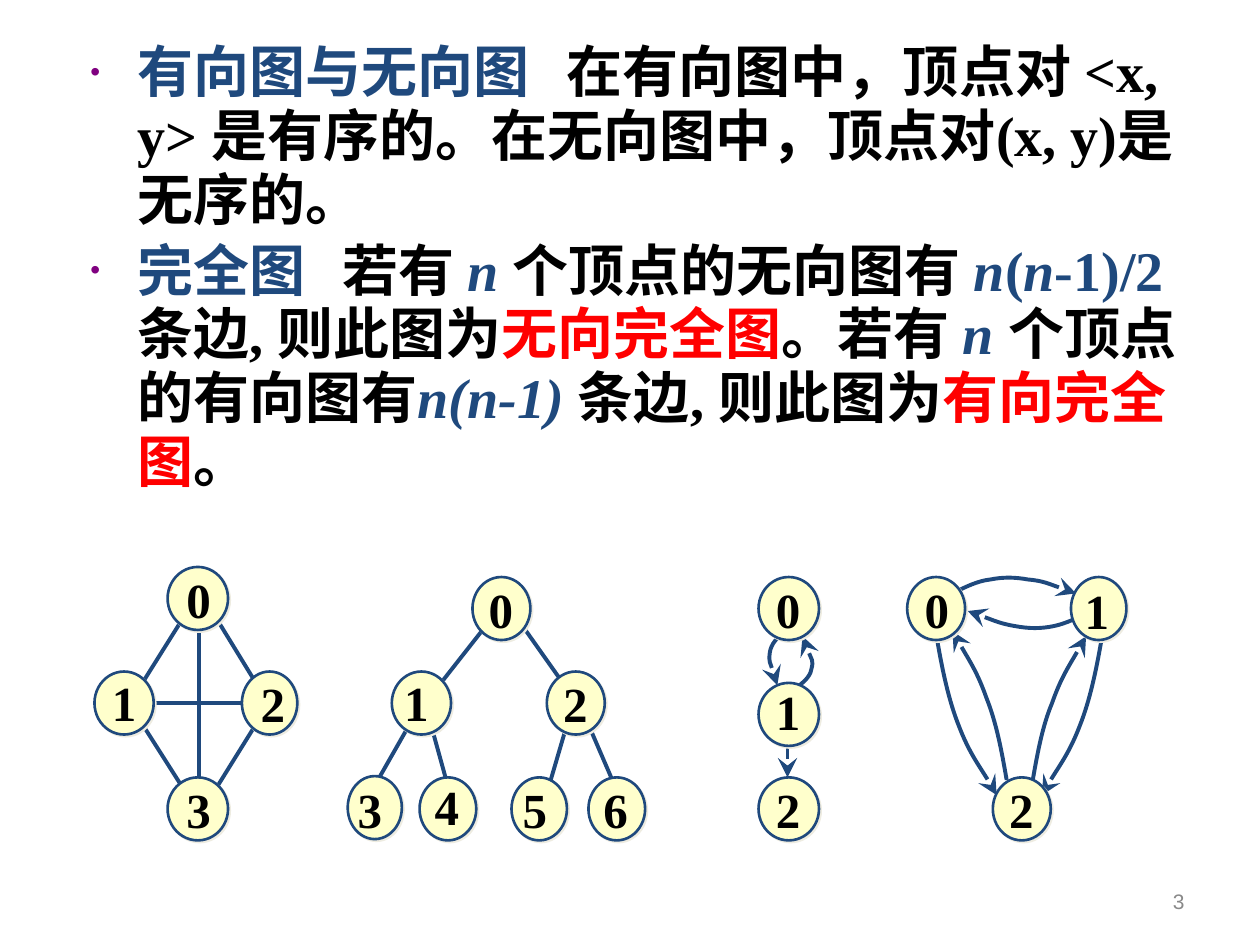
import pptx
import pptx.dml.color
import pptx.enum.shapes
import pptx.enum.text
import pptx.oxml.ns
import pptx.util
from lxml import etree
from pptx.util import Inches

RGBColor = pptx.dml.color.RGBColor
NAVY = RGBColor(0x1F, 0x49, 0x7D)
BLACK = RGBColor(0x00, 0x00, 0x00)
RED = RGBColor(0xFF, 0x00, 0x00)
GRAY = RGBColor(0x89, 0x89, 0x89)
CREAM = RGBColor(0xFF, 0xFF, 0xCC)
SHADOW = RGBColor(0xEE, 0xEC, 0xE1)
PURPLE = RGBColor(0x80, 0x00, 0x80)
qn = pptx.oxml.ns.qn


def add_run(paragraph, text, size=32, color=BLACK, font="Times New Roman",
            bold=True, italic=False, spacing=0):
    run = paragraph.add_run()
    run.text = text
    run.font.size = pptx.util.Pt(size)
    run.font.name = font
    run.font.bold = bold
    run.font.italic = italic
    run.font.color.rgb = color
    if spacing:
        run.font._element.set("spc", str(spacing * 100))


def style_stroke(shape, width=2.25, arrow=False):
    """Format the outline and return the shape's new, empty effect list."""
    shape.line.color.rgb = NAVY
    shape.line.width = pptx.util.Pt(width)
    properties = shape._element.spPr
    if arrow:
        etree.SubElement(properties.find(qn("a:ln")), qn("a:tailEnd"),
                         type="stealth", w="lg", len="lg")
    return etree.SubElement(properties, qn("a:effectLst"))


presentation = pptx.Presentation()
presentation.slide_width = Inches(10)
presentation.slide_height = Inches(7.5)
slide = presentation.slides.add_slide(presentation.slide_layouts[6])

# Definitions
GAP = (" ", {"spacing": 14})
TERM = {"color": NAVY}
VARIABLE = {"color": NAVY, "italic": True}
KEY = {"color": RED}
definitions = [
    [("有向图与无向图", TERM), GAP,
     ("在有向图中，顶点对 <x, y> 是有序的。在无向图中，顶点对(x, y)是无序的。", {})],
    [("完全图", TERM), GAP, ("若有 ", {}), ("n ", VARIABLE),
     ("个顶点的无向图有 ", {}), ("n", VARIABLE), ("(", TERM), ("n", VARIABLE),
     ("-1)/2 ", TERM), ("条边, 则此图为", {}), ("无向完全图", KEY),
     ("。若有 ", {}), ("n ", VARIABLE), ("个顶点的有向图有", {}),
     ("n(n-1) ", VARIABLE), ("条边, 则此图为", {}), ("有向完全图", KEY), ("。", {})],
]
box = slide.shapes.add_textbox(Inches(0.62), Inches(0.28), Inches(8.83), Inches(3.84))
box.text_frame.word_wrap = True
for index, runs in enumerate(definitions):
    paragraph = box.text_frame.paragraphs[0] if index == 0 else box.text_frame.add_paragraph()
    properties = paragraph._p.get_or_add_pPr()
    properties.set("marL", str(Inches(0.37)))
    properties.set("indent", str(-Inches(0.37)))
    bullet_color = etree.SubElement(properties, qn("a:buClr"))
    etree.SubElement(bullet_color, qn("a:srgbClr"), val=str(PURPLE))
    etree.SubElement(properties, qn("a:buSzPct"), val="50000")
    etree.SubElement(properties, qn("a:buFont"), typeface="Arial")
    etree.SubElement(properties, qn("a:buChar"), char="•")
    paragraph.line_spacing = 0.95
    if index:
        paragraph.space_before = pptx.util.Pt(4)
    for text, style in runs:
        add_run(paragraph, text, **style)

# Slide number
box = slide.shapes.add_textbox(Inches(7.17), Inches(6.95), Inches(2.33), Inches(0.4))
box.text_frame.word_wrap = True
box.text_frame.vertical_anchor = pptx.enum.text.MSO_ANCHOR.MIDDLE
paragraph = box.text_frame.paragraphs[0]
paragraph.alignment = pptx.enum.text.PP_ALIGN.RIGHT
add_run(paragraph, "3", size=12, color=GRAY, font="Arial", bold=False)

# Curved arcs: a start point, then three points for each cubic segment
arcs = [
    [(6.23, 5.01), (6.17, 5.06), (6.12, 5.11), (6.11, 5.18),
     (6.1, 5.26), (6.16, 5.4), (6.17, 5.44)],
    [(6.29, 5.48), (6.36, 5.43), (6.43, 5.38), (6.44, 5.31),
     (6.46, 5.24), (6.38, 5.09), (6.37, 5.05)],
    [(8.66, 4.85), (8.56, 4.9), (8.46, 4.95), (8.36, 4.97), (8.26, 4.99),
     (8.17, 4.99), (8.06, 4.97), (7.94, 4.95), (7.74, 4.87), (7.68, 4.85)],
    [(7.56, 4.71), (7.66, 4.66), (7.76, 4.61), (7.86, 4.6), (7.96, 4.58),
     (8.05, 4.58), (8.16, 4.6), (8.28, 4.61), (8.48, 4.69), (8.54, 4.71)],
    [(8.74, 5.09), (8.7, 5.32), (8.65, 5.56), (8.57, 5.76),
     (8.49, 5.97), (8.32, 6.21), (8.27, 6.31)],
    [(8.19, 6.23), (8.23, 6), (8.27, 5.77), (8.35, 5.58),
     (8.42, 5.38), (8.57, 5.14), (8.62, 5.05)],
    [(7.44, 5.09), (7.48, 5.32), (7.53, 5.56), (7.61, 5.76),
     (7.69, 5.97), (7.86, 6.21), (7.91, 6.31)],
    [(7.99, 6.19), (7.95, 5.96), (7.91, 5.74), (7.83, 5.54),
     (7.76, 5.34), (7.61, 5.1), (7.56, 5.01)],
]
for points in arcs:
    start, *vertices = [(Inches(x), Inches(y)) for x, y in points]
    builder = slide.shapes.build_freeform(*start)
    builder.add_line_segments(vertices, close=False)
    arc = builder.convert_to_shape()
    arc.fill.background()
    style_stroke(arc, arrow=True)
    # Turn every three line segments into one cubic curve
    outline = next(arc._element.iter(qn("a:path")))
    lines = outline.findall(qn("a:lnTo"))
    for first in range(0, len(lines), 3):
        curve = etree.SubElement(outline, qn("a:cubicBezTo"))
        for line in lines[first:first + 3]:
            curve.append(line[0])
            outline.remove(line)

# Straight edges: start, end, arrow
edges = [
    (4.17, 5, 4.58, 5.58, False), (4.5, 5.75, 4.33, 6.33, False),
    (4.67, 5.75, 4.92, 6.33, False), (3.83, 5, 3.5, 5.42, False),
    (3.42, 5.75, 3.58, 6.33, False), (3.25, 5.75, 2.92, 6.33, False),
    (1.08, 5.67, 1.5, 6.33, False), (1.67, 4.83, 2.08, 5.5, False),
    (2.08, 5.67, 1.67, 6.33, False), (1.5, 4.83, 1.08, 5.5, False),
    (1.17, 5.58, 2.08, 5.58, False), (1.58, 4.92, 1.58, 6.42, False),
    (6.25, 5.92, 6.25, 6.17, True),
]
for *ends, arrow in edges:
    edge = slide.shapes.add_connector(
        pptx.enum.shapes.MSO_CONNECTOR.STRAIGHT, *map(Inches, ends))
    style_stroke(edge, arrow=arrow)

# Vertices: digit, left, top, width, label left, label top
nodes = [
    ("0", 1.33, 4.5, 0.48, 1.38, 4.47), ("1", 0.75, 5.33, 0.47, 0.79, 5.29),
    ("2", 1.92, 5.33, 0.44, 1.97, 5.3), ("3", 1.33, 6.17, 0.48, 1.38, 6.14),
    ("0", 3.75, 4.58, 0.46, 3.78, 4.55), ("1", 3.11, 5.33, 0.47, 3.11, 5.29),
    ("2", 4.34, 5.33, 0.46, 4.37, 5.3), ("3", 2.76, 6.16, 0.43, 2.74, 6.14),
    ("4", 3.33, 6.17, 0.45, 3.35, 6.11), ("5", 4.06, 6.17, 0.44, 4.05, 6.14),
    ("6", 4.67, 6.17, 0.45, 4.69, 6.14),
    ("0", 6.02, 4.58, 0.48, 6.06, 4.55), ("1", 6.02, 5.42, 0.48, 6.06, 5.36),
    ("2", 6.02, 6.17, 0.48, 6.06, 6.14),
    ("0", 7.2, 4.58, 0.46, 7.24, 4.55), ("1", 8.5, 4.58, 0.44, 8.51, 4.56),
    ("2", 7.88, 6.17, 0.46, 7.91, 6.14),
]
for digit, left, top, width, label_left, label_top in nodes:
    node = slide.shapes.add_shape(
        pptx.enum.shapes.MSO_SHAPE.OVAL, Inches(left), Inches(top), Inches(width), Inches(0.5))
    node.fill.solid()
    node.fill.fore_color.rgb = CREAM
    effects = style_stroke(node, width=1.5)
    shadow = etree.SubElement(effects, qn("a:outerShdw"), dist=str(pptx.util.Pt(1.4)),
                              dir="2700000", algn="ctr", rotWithShape="0")
    etree.SubElement(shadow, qn("a:srgbClr"), val=str(SHADOW))

    label = slide.shapes.add_textbox(
        Inches(label_left), Inches(label_top), Inches(0.39), Inches(0.57))
    label.text_frame.word_wrap = False
    label.text_frame.auto_size = pptx.enum.text.MSO_AUTO_SIZE.SHAPE_TO_FIT_TEXT
    add_run(label.text_frame.paragraphs[0], digit, size=28)

presentation.save("out.pptx")
